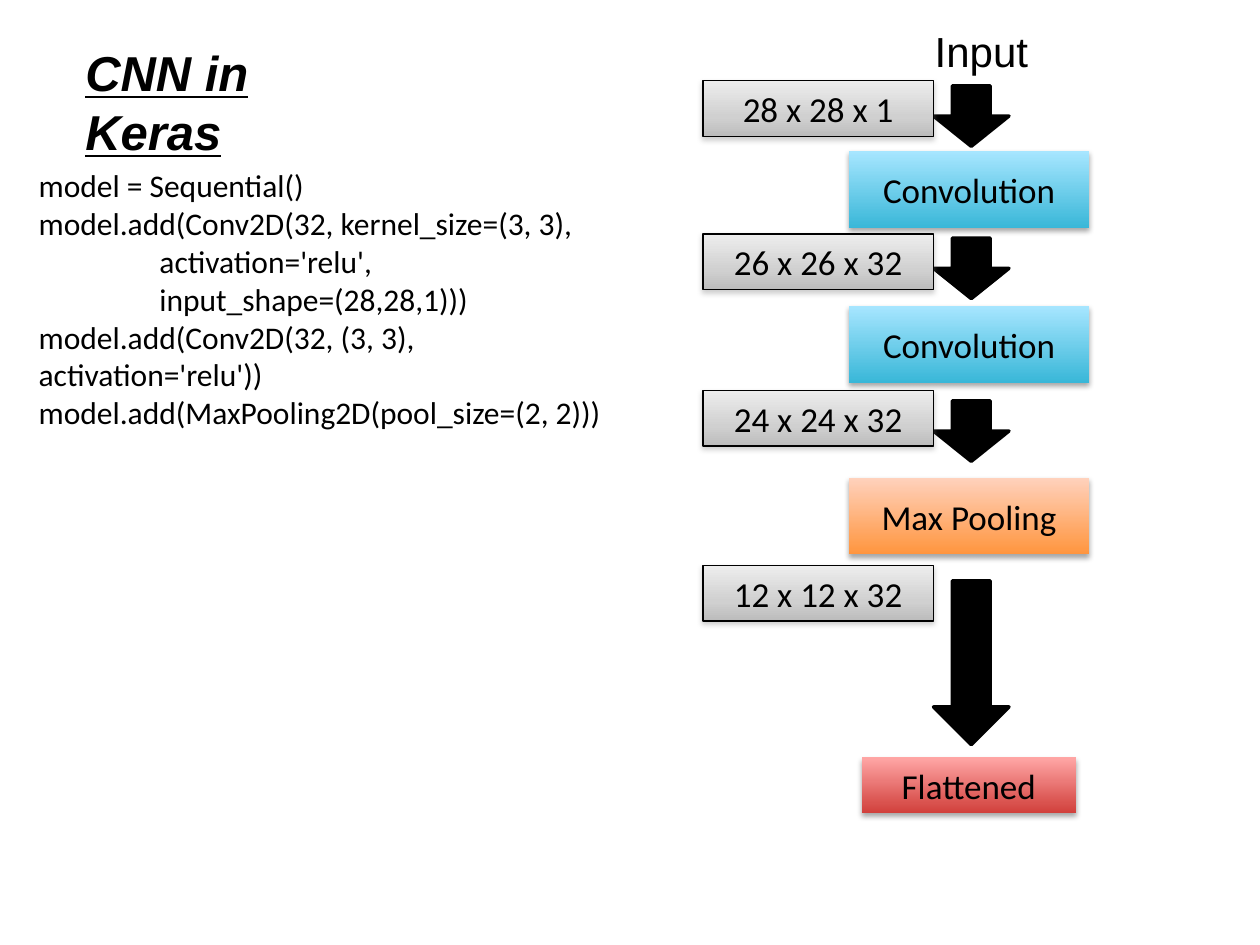
"""Build a slide that sets Keras CNN code beside its layer diagram."""
from dataclasses import dataclass

from lxml import etree
from pptx import Presentation
from pptx import util as u
from pptx.dml.color import RGBColor
from pptx.enum import shapes, text
from pptx.oxml import ns


@dataclass(frozen=True)
class Theme:
    ink: str = "000000"
    heading_font: str = "Arial"
    body_font: str = "Calibri"
    title_size: int = 28
    input_size: int = 24
    label_size: int = 20
    code_size: int = 18
    blue: tuple = (270, (0, "39B7D8"), (100, "A7E6FF"))
    orange: tuple = (270, (0, "FF953E"), (100, "FFD2BD"))
    red: tuple = (270, (0, "D1403C"), (100, "FFA6A5"))
    grey: tuple = (90, (0, "EDEDED"), (65, "D0D0D0"), (100, "BCBCBC"))
    layer_shadow: tuple = ("000000", 35, 1.8)
    size_shadow: tuple = ("808080", 38, 1.6)
    shadow_blur: float = 3.1


def add_element(parent, tag, **attributes):
    return etree.SubElement(parent, ns.qn(tag), {name: str(value) for name, value in attributes.items()})


def add_colour(parent, colour):
    return add_element(parent, "a:srgbClr", val=colour)


class Diagram:
    def __init__(self, slide, theme):
        self.slide = slide
        self.theme = theme

    def add_lines(self, shape, lines, size, font, centred=False, emphasis=False, grow=True):
        frame = shape.text_frame
        frame.word_wrap = True
        if grow:
            frame.auto_size = text.MSO_AUTO_SIZE.SHAPE_TO_FIT_TEXT
        for index, line in enumerate(lines):
            paragraph = frame.add_paragraph() if index else frame.paragraphs[0]
            paragraph.alignment = text.PP_ALIGN.CENTER if centred else text.PP_ALIGN.LEFT
            run = paragraph.add_run()
            run.text = line
            run.font.name = font
            run.font.size = u.Pt(size)
            run.font.color.rgb = RGBColor.from_string(self.theme.ink)
            if emphasis:
                run.font.bold = run.font.italic = run.font.underline = True

    def text_box(self, place, lines, size, font, **style):
        shape = self.slide.shapes.add_textbox(*map(u.Cm, place))
        self.add_lines(shape, lines, size, font, **style)

    def shape(self, kind, place, line_width):
        shape = self.slide.shapes.add_shape(kind, *map(u.Cm, place))
        shape.shadow.inherit = False
        if line_width:
            shape.line.color.rgb = RGBColor.from_string(self.theme.ink)
            shape.line.width = u.Pt(line_width)
        else:
            shape.line.fill.background()
        return shape

    def arrow(self, place):
        shape = self.shape(shapes.MSO_SHAPE.DOWN_ARROW, place, 2)
        shape.fill.solid()
        shape.fill.fore_color.rgb = RGBColor.from_string(self.theme.ink)

    def box(self, place, label, gradient, shadow, line_width=0, grow=True):
        shape = self.shape(shapes.MSO_SHAPE.RECTANGLE, place, line_width)
        self.paint(shape, *gradient)
        self.cast_shadow(shape, *shadow)
        self.add_lines(shape, [label], self.theme.label_size, self.theme.body_font, centred=True, grow=grow)

    def paint(self, shape, angle, *stops):
        shape.fill.gradient()
        shape.fill.gradient_angle = 360 - angle
        stop_list = shape.element.spPr.find(ns.qn("a:gradFill")).find(ns.qn("a:gsLst"))
        stop_list.clear()
        for position, colour in stops:
            add_colour(add_element(stop_list, "a:gs", pos=position * 1000), colour)

    def cast_shadow(self, shape, colour, opacity, distance):
        effects = shape.element.spPr.find(ns.qn("a:effectLst"))
        shadow = add_element(effects, "a:outerShdw", blurRad=u.Pt(self.theme.shadow_blur),
                             dist=u.Pt(distance), dir=90 * 60000, rotWithShape=0)
        add_element(add_colour(shadow, colour), "a:alpha", val=opacity * 1000)


def main():
    presentation = Presentation()
    presentation.slide_width, presentation.slide_height = u.Cm(25.4), u.Cm(19.05)
    slide = presentation.slides.add_slide(presentation.slide_layouts[6])
    theme = Theme()
    diagram = Diagram(slide, theme)

    diagram.text_box((1.47, 0.74, 5.87, 1.45), ["CNN in Keras"], theme.title_size,
                     theme.heading_font, emphasis=True)
    for top, label, gradient in ((3.05, "Convolution", theme.blue),
                                 (6.17, "Convolution", theme.blue),
                                 (9.63, "Max Pooling", theme.orange)):
        diagram.box((17.12, top, 4.83, 1.55), label, gradient, theme.layer_shadow, grow=False)
    for top, height in ((1.73, 1.22), (4.8, 1.22), (8.08, 1.22), (11.71, 3.3)):
        diagram.arrow((18.82, top, 1.52, height))
    diagram.text_box((16.94, 0.38, 5.69, 1.3), ["Input"], theme.input_size,
                     theme.heading_font, centred=True)
    for top, label in ((1.63, "28 x 28 x 1"), (4.72, "26 x 26 x 32"),
                       (7.87, "24 x 24 x 32"), (11.4, "12 x 12 x 32")):
        diagram.box((14.17, top, 4.65, 1.12), label, theme.grey, theme.size_shadow, line_width=0.75)
    diagram.box((17.37, 15.27, 4.32, 1.12), "Flattened", theme.red, theme.layer_shadow)

    code = (
        "model = Sequential()",
        "model.add(Conv2D(32, kernel_size=(3, 3),",
        "                 activation='relu',",
        "                 input_shape=(28,28,1)))",
        "model.add(Conv2D(32, (3, 3), activation='relu'))",
        "model.add(MaxPooling2D(pool_size=(2, 2)))",
    )
    diagram.text_box((0.53, 3.23, 12.7, 5.64), code, theme.code_size, theme.body_font)
    presentation.save("out.pptx")


if __name__ == "__main__":
    main()
